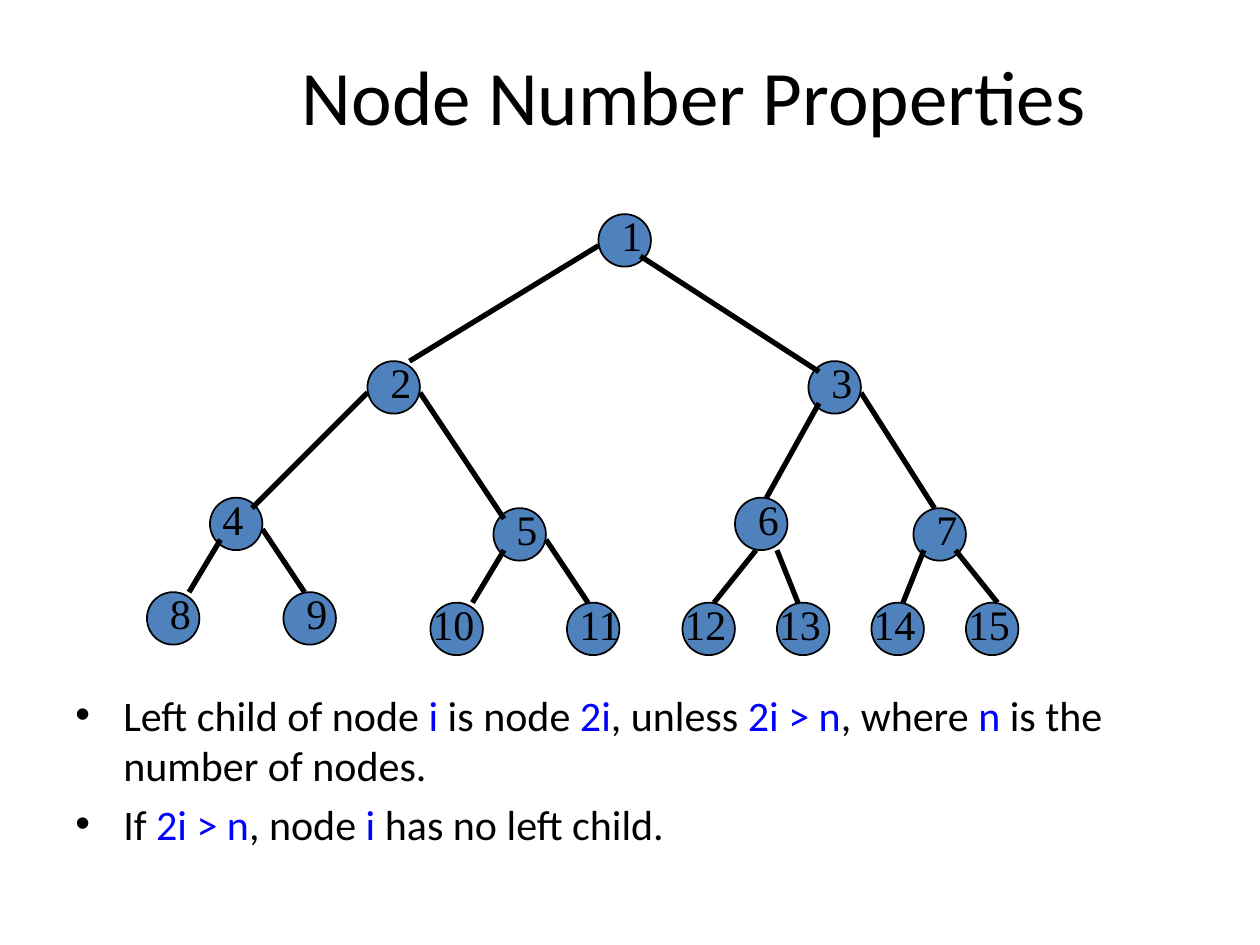
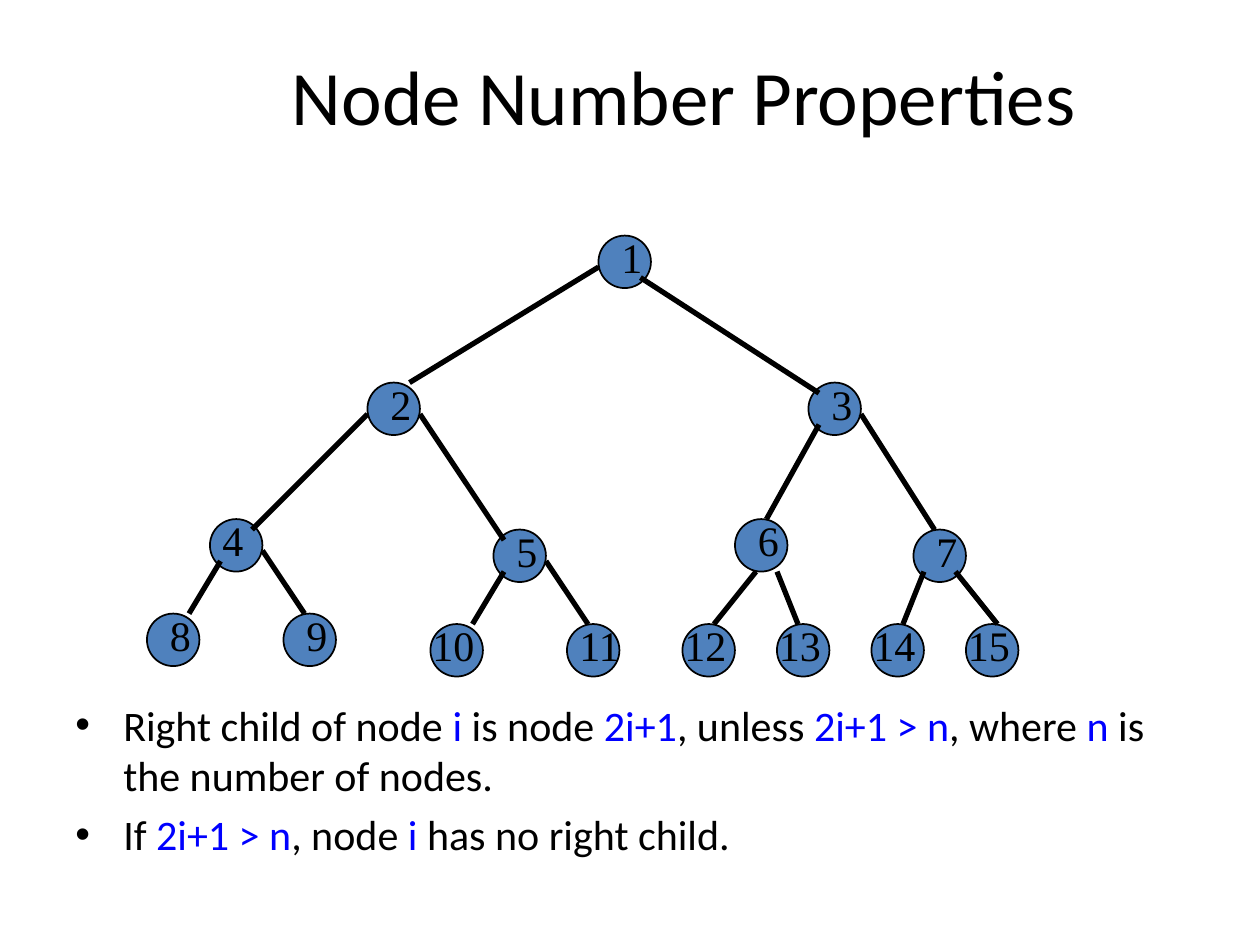
from lxml import etree
from pptx import Presentation
from pptx.dml.color import RGBColor
from pptx.enum.shapes import MSO_CONNECTOR, MSO_SHAPE
from pptx.enum.text import MSO_ANCHOR, PP_ALIGN
from pptx.oxml.ns import qn
from pptx.util import Inches, Pt

OVAL = MSO_SHAPE.OVAL
LINE = MSO_CONNECTOR.STRAIGHT
MIDDLE = MSO_ANCHOR.MIDDLE
CENTER = PP_ALIGN.CENTER

BLACK, BLUE, STEEL = "000000", "0000FF", "4F81BD"
TITLE = {"name": "Calibri", "size": Pt(44)}
BODY = {"name": "Calibri", "size": Pt(24)}
LABEL = {"name": "Times New Roman", "size": Pt(24)}

# UNITS
GRID = 12
DIAM = 5
NODES = {
    1: (57, 0),
    2: (35, 14), 3: (77, 14),
    4: (20, 27), 5: (47, 28), 6: (70, 27), 7: (87, 28),
    8: (14, 36), 9: (27, 36), 10: (41, 37), 11: (54, 37),
    12: (65, 37), 13: (74, 37), 14: (83, 37), 15: (92, 37),
}
EDGES = {
    2: ((0, 3), (4, 0)), 3: ((4, 4), (1, 1)),
    4: ((0, 3), (4, 1)), 5: ((5, 3), (1, 1)),
    6: ((1, 4), (3, 0)), 7: ((5, 3), (2, 0)),
    8: ((1, 4), (4, 0)), 9: ((5, 3), (2, 0)),
    10: ((1, 4), (4, 0)), 11: ((5, 3), (2, 0)),
    12: ((2, 5), (3, 0)), 13: ((4, 5), (2, 0)),
    14: ((1, 4), (3, 0)), 15: ((4, 4), (3, 0)),
}
SHIFTS = {4: 0, 11: 0}

SLIDES = [
    {"left": 1.33, "tree": 1.7, "body": 5.42, "points": [
        "Left child of node |i |is node |2i|, unless |2i > n|, where |n| is the number of nodes.",
        "If |2i > n|, node| i| has no left child."]},
    {"left": 1.25, "tree": 1.87, "body": 5.5, "points": [
        "Right child of node |i |is node |2i+1|, unless |2i+1 > n|, where |n| is the number of nodes.",
        "If |2i+1 > n|, node| i| has no right child."]},
]


def color(text):
    return RGBColor.from_string(text)


class Deck:
    def __init__(self):
        self.prs = Presentation()
        self.prs.slide_width = Inches(10)
        self.prs.slide_height = Inches(7.5)

    def page(self):
        self.slide = self.prs.slides.add_slide(self.prs.slide_layouts[5])

    def style(self, font, form, tint=BLACK):
        for key, value in form.items():
            setattr(font, key, value)
        font.color.rgb = color(tint)

    def title(self, text, left):
        shape = self.slide.shapes.title
        place = {"left": left, "top": 0.25, "width": 8.5, "height": 1}
        for key, value in place.items():
            setattr(shape, key, Inches(value))
        frame = shape.text_frame
        frame.text = text
        frame.vertical_anchor = MIDDLE
        para = frame.paragraphs[0]
        para.alignment = CENTER
        self.style(para.runs[0].font, TITLE)

    def bullets(self, points, top):
        box = self.slide.shapes.add_textbox(
            Inches(0.5), Inches(top), Inches(9.08), Inches(7.25 - top))
        frame = box.text_frame
        frame.word_wrap = True
        for num, point in enumerate(points):
            para = frame.add_paragraph() if num else frame.paragraphs[0]
            props = para._p.get_or_add_pPr()
            props.set("marL", str(Inches(0.38)))
            props.set("indent", str(-Inches(0.38)))
            etree.SubElement(props, qn("a:buFont"), typeface="Arial")
            etree.SubElement(props, qn("a:buChar"), char="•")
            if num:
                para.space_before = Pt(4.8)
            for pos, part in enumerate(point.split("|")):
                run = para.add_run()
                run.text = part
                self.style(run.font, BODY, BLUE if pos % 2 else BLACK)

    def node(self, group, x, y):
        size = Inches(DIAM / GRID)
        shape = group.shapes.add_shape(OVAL, x, y, size, size)
        shape.shadow.inherit = False
        shape.fill.solid()
        shape.fill.fore_color.rgb = color(STEEL)
        shape.line.color.rgb = color(BLACK)
        shape.line.width = Pt(1)

    def edge(self, group, start, end):
        link = group.shapes.add_connector(LINE, *start, *end)
        link.line.color.rgb = color(BLACK)
        link.line.width = Pt(3)
        etree.SubElement(link._element.spPr, qn("a:effectLst"))

    def label(self, group, text, x, y):
        width = Inches(4 * len(text) / GRID)
        box = group.shapes.add_textbox(x, y, width, Inches(0.5))
        frame = box.text_frame
        frame.word_wrap = True
        frame.text = text
        self.style(frame.paragraphs[0].runs[0].font, LABEL)

    def tree(self, top):
        def spot(num, dx=0, dy=0):
            x, y = NODES[num]
            return Inches((x + dx) / GRID), Inches(top + (y + dy) / GRID)

        group = self.slide.shapes.add_group_shape()
        for num in NODES:
            self.node(group, *spot(num))
        for num, (start, end) in EDGES.items():
            self.edge(group, spot(num // 2, *start), spot(num, *end))
        for num in NODES:
            shift = SHIFTS.get(num, 1 if num < 10 else -1)
            self.label(group, str(num), *spot(num, shift, -1))


def main():
    deck = Deck()
    for item in SLIDES:
        deck.page()
        deck.title("Node Number Properties ", item["left"])
        deck.bullets(item["points"], item["body"])
        deck.tree(item["tree"])
    deck.prs.save("out.pptx")


if __name__ == "__main__":
    main()
